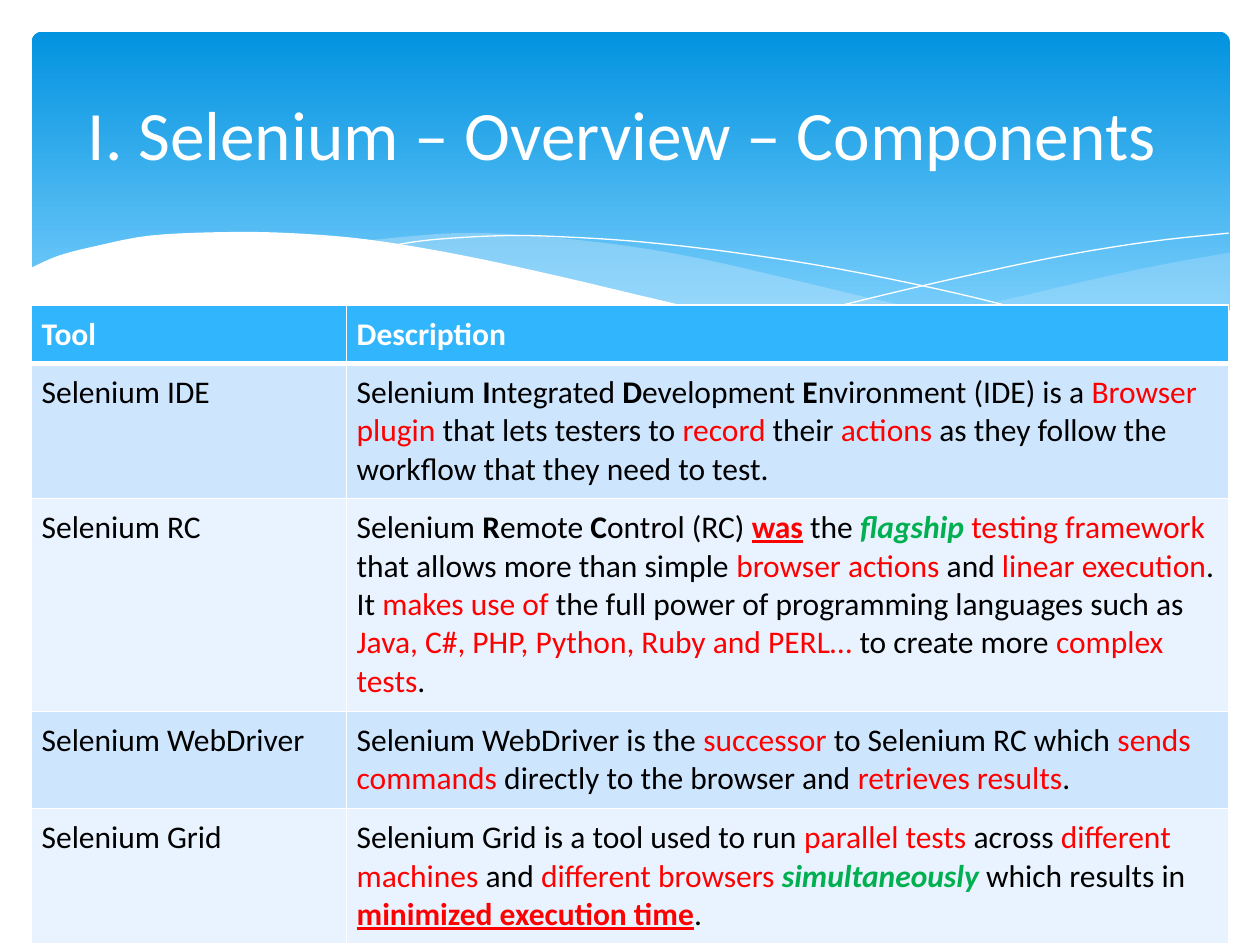
import pptx
import pptx.util
import pptx.dml.color
import pptx.enum.shapes
import pptx.enum.text
import pptx.oxml
import pptx.oxml.ns

Cm = pptx.util.Cm
Pt = pptx.util.Pt

WHITE = "FFFFFF"
PALE_BLUE = "C6E7FC"
HEADER_FILL = "31B6FD"
BAND_FILLS = ("CEE5FE", "E8F3FF")

STYLES = {
    "plain": {"color": "000000"},
    "header": {"color": WHITE, "bold": True},
    "bold": {"color": "000000", "bold": True},
    "red": {"color": "FF0000"},
    "strong": {"color": "FF0000", "bold": True, "underline": True},
    "green": {"color": "00B050", "bold": True, "italic": True},
}

RIGHT_WAVE = [
    [(24.16, 4.45), (22.76, 4.7), (21.23, 5.03), (18.49, 5.66), (16.15, 6.1)],
    [(16.15, 6.1), (17.63, 6.27), (18.9, 6.4), (20.04, 6.43), (21.29, 6.35),
     (22.56, 6.15), (23.47, 5.89), (24.16, 5.64)],
]
MIDDLE_WAVE = [
    [(22.05, 6.3), (19.86, 5.97), (17.3, 5.46), (15.34, 5), (13.46, 4.57),
     (11.79, 4.29), (10.03, 4.11), (8.53, 4.06), (6.63, 4.22)],
    [(6.63, 4.22), (8.56, 4.52), (10.77, 5), (13.74, 5.66), (15.88, 6.07),
     (17.7, 6.32), (19.58, 6.43), (20.9, 6.4), (22.05, 6.3)],
]
FALLING_LINE = [
    [(7.21, 4.32), (8.1, 4.19), (9.55, 4.11), (10.8, 4.14), (12.32, 4.24),
     (14.15, 4.45), (16.26, 4.78), (18.67, 5.28), (20.47, 5.74), (22.4, 6.27)],
]
RISING_LINE = [
    [(14.94, 5.89), (16.43, 5.49), (18.36, 5.03), (20.6, 4.55), (22.48, 4.24),
     (24.13, 4.06)],
]
WHITE_WAVE = [
    [(24.18, 5.61), (22.99, 6.02), (21.59, 6.3), (19.91, 6.4), (17.81, 6.27),
     (15.82, 6.02), (13.46, 5.59), (10.72, 4.95), (8.64, 4.5), (6.78, 4.19),
     (5.21, 4.06), (3.86, 4.04), (2.39, 4.11), (1.3, 4.32), (0.53, 4.52),
     (-0.05, 4.78)],
    [(-0.05, 7.72), (24.18, 7.72)],
]

COLUMN_WIDTHS = (6.35, 17.78)
ROW_HEIGHTS = (1.17, 2.72, 4.29, 1.96, 2.64)
TOOLS = [
    ("Selenium IDE", [
        ("plain", "Selenium "), ("bold", "I"), ("plain", "ntegrated "),
        ("bold", "D"), ("plain", "evelopment "), ("bold", "E"),
        ("plain", "nvironment (IDE) is a "), ("red", "Browser plugin"),
        ("plain", " that lets testers to "), ("red", "record"),
        ("plain", " their "), ("red", "actions"),
        ("plain", " as they follow the workflow that they need to test."),
    ]),
    ("Selenium RC", [
        ("plain", "Selenium "), ("bold", "R"), ("plain", "emote "),
        ("bold", "C"), ("plain", "ontrol (RC) "), ("strong", "was"),
        ("plain", " the "), ("green", "flagship "), ("red", "testing framework"),
        ("plain", " that allows more than simple "), ("red", "browser actions "),
        ("plain", "and "), ("red", "linear execution"), ("plain", ". It "),
        ("red", "makes use of "),
        ("plain", "the full power of programming languages such as "),
        ("red", "Java, C#, PHP, Python, Ruby and PERL… "),
        ("plain", "to create more "), ("red", "complex tests"), ("plain", "."),
    ]),
    ("Selenium WebDriver", [
        ("plain", "Selenium WebDriver is the "), ("red", "successor"),
        ("plain", " to Selenium RC which "), ("red", "sends commands"),
        ("plain", " directly to the browser and "), ("red", "retrieves results"),
        ("plain", "."),
    ]),
    ("Selenium Grid", [
        ("plain", "Selenium Grid is a tool used to run "), ("red", "parallel tests "),
        ("plain", "across "), ("red", "different machines"), ("plain", " and "),
        ("red", "different browsers "), ("green", "simultaneously "),
        ("plain", "which results in "), ("strong", "minimized execution time"),
        ("plain", "."),
    ]),
]


def rgb(value):
    return pptx.dml.color.RGBColor.from_string(value)


def set_attributes(target, values):
    for name, value in values.items():
        setattr(target, name, value)


def add_run(paragraph, text, size, color, **font_values):
    run = paragraph.add_run()
    run.text = text
    set_attributes(run.font, {"name": "Calibri", "size": Pt(size), "bold": False, **font_values})
    run.font.color.rgb = rgb(color)


def smooth_edge(knots, steps=5):
    padded = [knots[0], *knots, knots[-1]]
    points = [knots[0]]
    for before, start, end, after in zip(padded, padded[1:], padded[2:], padded[3:]):
        for step in range(1, steps + 1):
            t = step / steps
            points.append(tuple(
                (2 * b + (c - a) * t + (2 * a - 5 * b + 4 * c - d) * t ** 2
                 + (3 * b - a - 3 * c + d) * t ** 3) / 2
                for a, b, c, d in zip(before, start, end, after)))
    return points


def add_curve(slide, left, top, edges, fill=None, opacity=100):
    points = [(Cm(left + x), Cm(top + y)) for edge in edges for x, y in smooth_edge(edge)]
    builder = slide.shapes.build_freeform(*points[0])
    builder.add_line_segments(points[1:], close=fill is not None)
    shape = builder.convert_to_shape()
    shape.shadow.inherit = False
    if fill is None:
        shape.fill.background()
        shape.line.color.rgb = rgb(WHITE)
        shape.line.width = Pt(0)
        return
    shape.fill.solid()
    shape.fill.fore_color.rgb = rgb(fill)
    shape.line.fill.background()
    if opacity < 100:
        color = shape.element.spPr.find(".//" + pptx.oxml.ns.qn("a:srgbClr"))
        alpha = color.makeelement(pptx.oxml.ns.qn("a:alpha"), {"val": str(opacity * 1000)})
        color.append(alpha)


def place_banner(slide, left, top, width, height):
    banner = slide.shapes.add_shape(
        pptx.enum.shapes.MSO_SHAPE.ROUNDED_RECTANGLE, Cm(left), Cm(top), Cm(width), Cm(height))
    banner.adjustments[0] = 0.03
    banner.shadow.inherit = False
    banner.line.fill.background()
    banner.fill.gradient()
    banner.fill.gradient_angle = 270
    for stop, position, color in zip(banner.fill.gradient_stops, (0, 0.9), ("0293E0", "83D3FE")):
        stop.position = position
        stop.color.rgb = rgb(color)
    add_curve(slide, left, top, RIGHT_WAVE, PALE_BLUE, 29)
    add_curve(slide, left, top, MIDDLE_WAVE, PALE_BLUE, 40)
    add_curve(slide, left, top, FALLING_LINE)
    add_curve(slide, left, top, RISING_LINE)
    add_curve(slide, left, top, WHITE_WAVE, WHITE)


def format_cell(cell, runs, fill, top_border, bottom_border):
    properties = cell._tc.get_or_add_tcPr()
    for side, width in (("L", 1), ("R", 1), ("T", top_border), ("B", bottom_border)):
        properties.append(pptx.oxml.parse_xml(
            f'<a:ln{side} {pptx.oxml.ns.nsdecls("a")} w="{Pt(width)}"><a:solidFill>'
            f'<a:srgbClr val="{WHITE}"/></a:solidFill></a:ln{side}>'))
    cell.fill.solid()
    cell.fill.fore_color.rgb = rgb(fill)
    margins = ("margin_left", "margin_top", "margin_right", "margin_bottom")
    set_attributes(cell, dict.fromkeys(margins, Cm(0.2)))
    for style, text in runs:
        add_run(cell.text_frame.paragraphs[0], text, 18, **STYLES[style])


def place_tool_table(slide, left, top, width, height):
    table = slide.shapes.add_table(
        len(ROW_HEIGHTS), len(COLUMN_WIDTHS), Cm(left), Cm(top), Cm(width), Cm(height)).table
    for column, column_width in zip(table.columns, COLUMN_WIDTHS):
        column.width = Cm(column_width)
    for row, row_height in zip(table.rows, ROW_HEIGHTS):
        row.height = Cm(row_height)
    rows = [[[("header", "Tool")], [("header", "Description")]]]
    rows += [[[("plain", tool)], description] for tool, description in TOOLS]
    for index, contents in enumerate(rows):
        fill = BAND_FILLS[(index - 1) % 2] if index else HEADER_FILL
        for cell, runs in zip(table.rows[index].cells, contents):
            format_cell(cell, runs, fill, 3 if index == 1 else 1, 3 if index == 0 else 1)


def place_title(slide, left, top, width, height):
    title = slide.shapes.title
    set_attributes(title, {"left": Cm(left), "top": Cm(top),
                           "width": Cm(width), "height": Cm(height)})
    set_attributes(title.text_frame, {
        "word_wrap": True,
        "auto_size": pptx.enum.text.MSO_AUTO_SIZE.NONE,
        "vertical_anchor": pptx.enum.text.MSO_ANCHOR.MIDDLE})
    paragraph = title.text_frame.paragraphs[0]
    paragraph.alignment = pptx.enum.text.PP_ALIGN.CENTER
    add_run(paragraph, "I. Selenium – Overview – Components ", 39.6, WHITE)
    title.element.getparent().append(title.element)


def main():
    presentation = pptx.Presentation()
    set_attributes(presentation, {"slide_width": Cm(25.4), "slide_height": Cm(19.05)})
    slide = presentation.slides.add_slide(presentation.slide_layouts[5])
    place_banner(slide, 0.64, 0.64, 24.15, 6.86)
    place_tool_table(slide, 0.64, 6.15, sum(COLUMN_WIDTHS), sum(ROW_HEIGHTS))
    place_title(slide, 1.27, 0.94, 22.86, 3.48)
    presentation.save("out.pptx")


if __name__ == "__main__":
    main()
